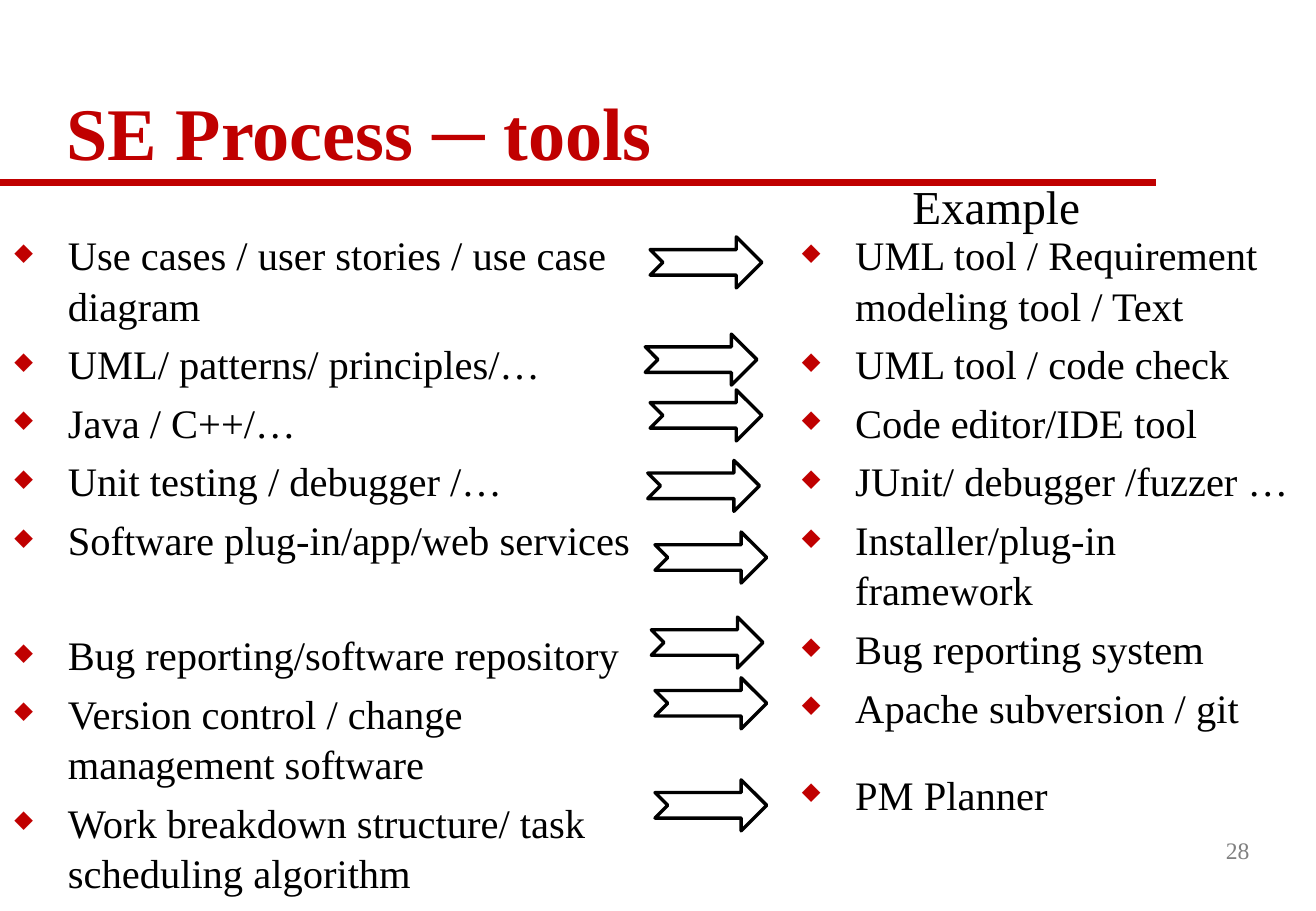
from lxml.etree import SubElement
from pptx import Presentation
from pptx.dml.color import RGBColor
from pptx.enum.shapes import MSO_CONNECTOR, MSO_SHAPE
from pptx.enum.text import MSO_ANCHOR, PP_ALIGN
from pptx.oxml.ns import qn
from pptx.util import Inches, Pt

WIDTH, HEIGHT = Inches(10.83), Inches(7.5)
COLORS = {"accent": "C00000", "text": "000000", "number": "808080", "paper": "FFFFFF"}
FONT = "Times New Roman"
ITEM_GAP = 4.8

ACTIVITIES = [
    ("Use cases / user stories / use case diagram", 0),
    ("UML/ patterns/ principles/…", ITEM_GAP),
    ("Java / C++/…", ITEM_GAP),
    ("Unit testing / debugger /…", ITEM_GAP),
    ("Software plug-in/app/web services", ITEM_GAP),
    ("Bug reporting/software repository", 38.3),
    ("Version control / change management software", ITEM_GAP),
    ("Work breakdown structure/ task scheduling algorithm", ITEM_GAP),
]
EXAMPLES = [
    ("UML tool / Requirement modeling tool / Text", 0),
    ("UML tool / code check", ITEM_GAP),
    ("Code editor/IDE tool", ITEM_GAP),
    ("JUnit/ debugger /fuzzer …", ITEM_GAP),
    ("Installer/plug-in framework", ITEM_GAP),
    ("Bug reporting system", ITEM_GAP),
    ("Apache subversion / git", ITEM_GAP),
    ("PM Planner", 21.7),
]
ARROWS = [
    (49.4, 26), (49.03, 36.67), (49.4, 42.8), (49.22, 50.53),
    (49.77, 58.4), (49.49, 67.73), (49.77, 74.4), (49.77, 85.6),
]


def across(percent):
    return round(WIDTH * percent / 100)


def down(percent):
    return round(HEIGHT * percent / 100)


def area(left, top, width, height):
    return across(left), down(top), across(width), down(height)


def color(name):
    return RGBColor.from_string(COLORS[name])


def add_frame(slide, place, **settings):
    frame = slide.shapes.add_textbox(*area(*place)).text_frame
    for name, value in {"word_wrap": True, **settings}.items():
        setattr(frame, name, value)
    return frame


def write(paragraph, text, size, color_name="text", bold=False, **settings):
    for name, value in settings.items():
        setattr(paragraph, name, value)
    run = paragraph.add_run()
    run.text = text
    for name, value in {"name": FONT, "size": Pt(size), "bold": bold}.items():
        setattr(run.font, name, value)
    run.font.color.rgb = color(color_name)


def add_bullet(paragraph):
    properties = paragraph._p.get_or_add_pPr()
    properties.set("marL", str(Inches(0.44)))
    properties.set("indent", str(-Inches(0.44)))
    bullet_color = SubElement(properties, qn("a:buClr"))
    SubElement(bullet_color, qn("a:srgbClr"), val=COLORS["accent"])
    SubElement(properties, qn("a:buSzPct"), val="60000")
    SubElement(properties, qn("a:buChar"), char="◆")


def add_list(slide, place, items):
    frame = add_frame(slide, place)
    for index, (text, gap) in enumerate(items):
        paragraph = frame.add_paragraph() if index else frame.paragraphs[0]
        add_bullet(paragraph)
        write(paragraph, text, 24, line_spacing=1.04, space_before=Pt(gap))


def add_arrow(slide, left, top):
    arrow = slide.shapes.add_shape(
        MSO_SHAPE.NOTCHED_RIGHT_ARROW, *area(left, top, 8.49, 5.6)
    )
    arrow.shadow.inherit = False
    arrow.fill.solid()
    arrow.fill.fore_color.rgb = color("paper")
    arrow.line.color.rgb = color("text")
    arrow.line.width = Pt(2)


def add_rule(slide, top, right):
    rule = slide.shapes.add_connector(
        MSO_CONNECTOR.STRAIGHT, 0, down(top), across(right), down(top)
    )
    rule.line.color.rgb = color("accent")
    rule.line.width = Pt(4)
    SubElement(rule._element.spPr, qn("a:effectLst"))


def main():
    presentation = Presentation()
    presentation.slide_width, presentation.slide_height = WIDTH, HEIGHT
    slide = presentation.slides.add_slide(presentation.slide_layouts[6])

    add_rule(slide, 20, 87.81)
    title = add_frame(
        slide, (4.16, 3.87, 91.23, 16.13), vertical_anchor=MSO_ANCHOR.BOTTOM
    )
    write(title.paragraphs[0], "SE Process ─ tools", 44, "accent", True, line_spacing=0.9)
    add_list(slide, (60.02, 24.4, 39.24, 72.27), EXAMPLES)
    number = add_frame(
        slide, (74.98, 90, 20.87, 6.67), vertical_anchor=MSO_ANCHOR.MIDDLE
    )
    write(number.paragraphs[0], "28", 14, "number", alignment=PP_ALIGN.RIGHT)
    heading = add_frame(slide, (68.42, 18.8, 14.77, 7.6), word_wrap=False)
    write(heading.paragraphs[0], "Example", 28)
    for left, top in ARROWS:
        add_arrow(slide, left, top)
    add_list(slide, (0.18, 24.4, 49.03, 72.27), ACTIVITIES)

    presentation.save("out.pptx")


if __name__ == "__main__":
    main()
